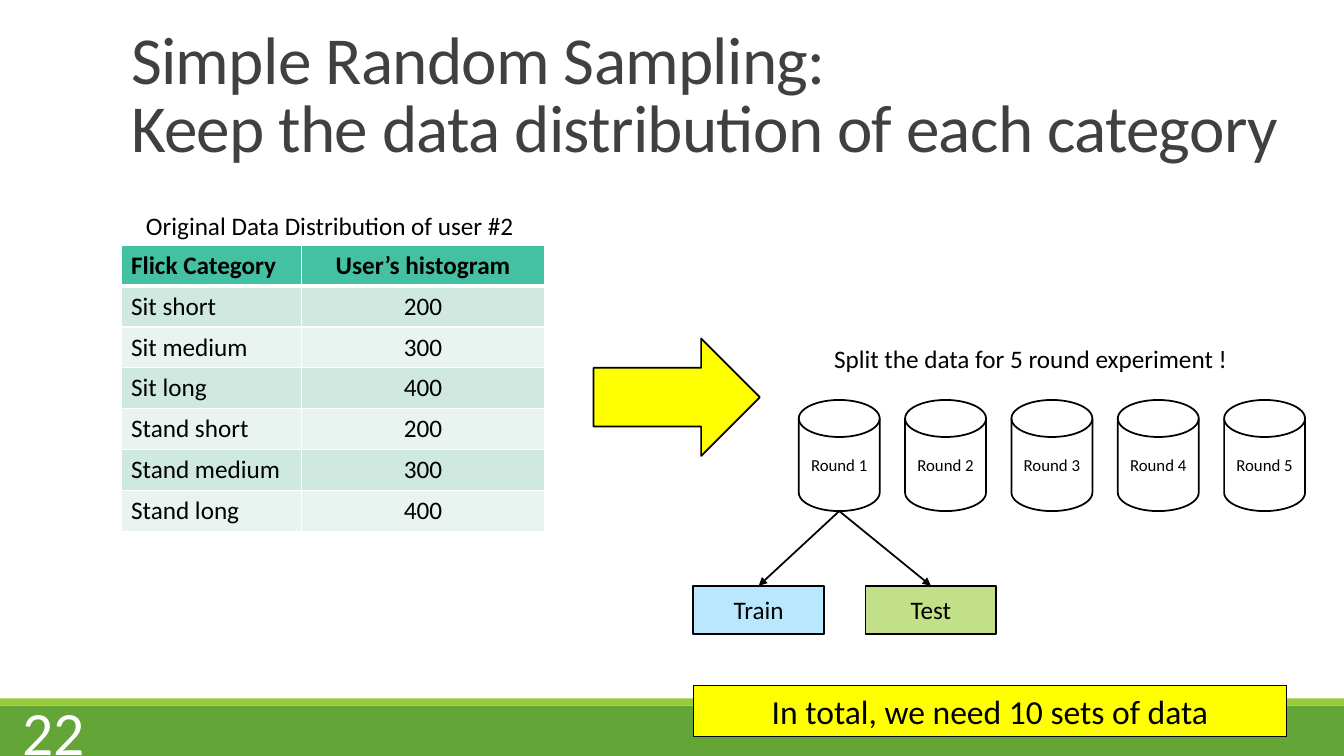
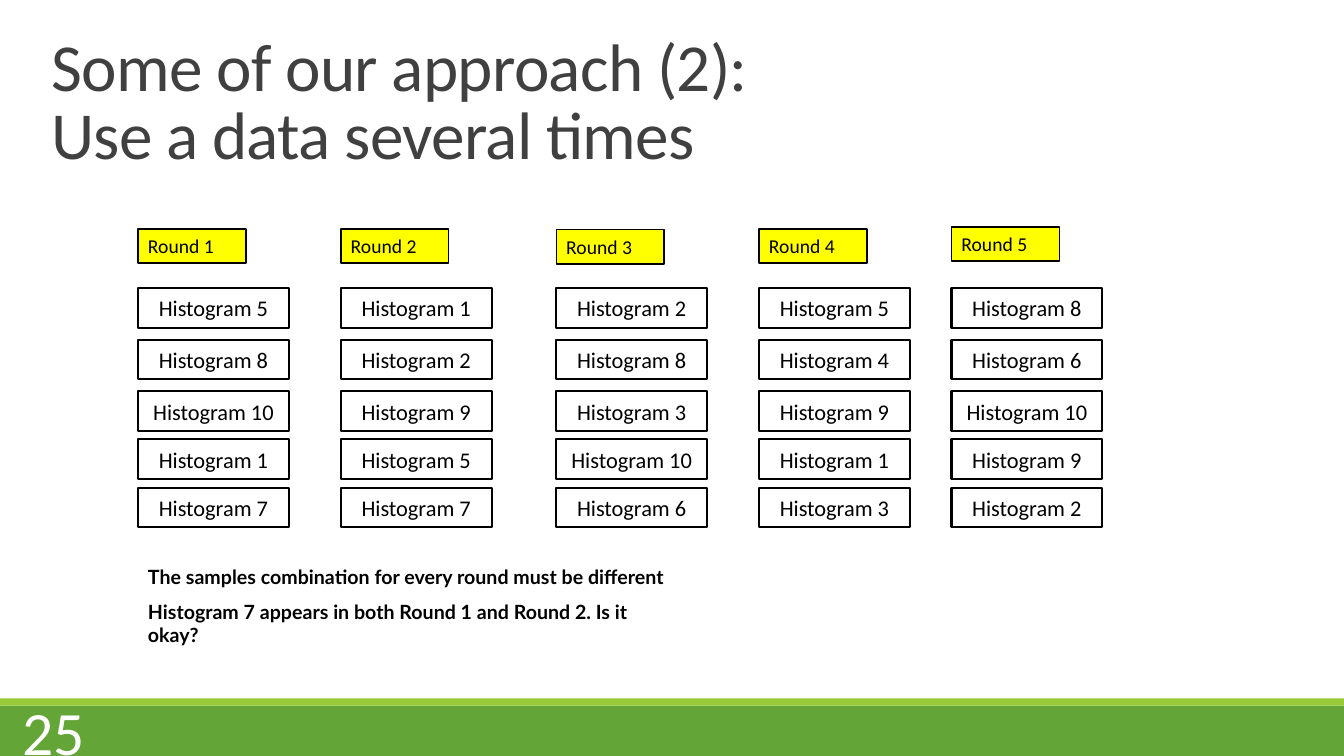
"""Build two slides about sampling data for a five round experiment."""
from typing import NamedTuple

from lxml.etree import SubElement
from pptx import Presentation
from pptx.dml.color import RGBColor
from pptx.enum.shapes import MSO_CONNECTOR, MSO_SHAPE
from pptx.enum.text import MSO_ANCHOR, MSO_AUTO_SIZE, PP_ALIGN
from pptx.oxml.ns import qn
from pptx.util import Cm, Pt

COLORS = {
    "ink": "000000", "title": "404040", "white": "FFFFFF",
    "band": "63A537", "stripe": "99CB38", "highlight": "FFFF00",
    "header": "44C1A3", "odd": "CFE9E0", "even": "E9F4F0",
    "train": "B9E7FD", "test": "C2E088",
}
FONT = "Calibri"
WIDTH, HEIGHT = 33.87, 19.05
TITLE_ONLY = 5

HISTOGRAM = [
    ("Flick Category", "User’s histogram"),
    ("Sit short", "200"), ("Sit medium", "300"), ("Sit long", "400"),
    ("Stand short", "200"), ("Stand medium", "300"), ("Stand long", "400"),
]
ROUNDS = [
    (0, 0.05, (5, 8, 10, 1, 7)),
    (5.11, 0.05, (1, 2, 9, 5, 7)),
    (10.54, 0.07, (2, 8, 3, 10, 6)),
    (15.65, 0.05, (5, 4, 9, 1, 3)),
    (20.5, 0, (8, 6, 10, 9, 2)),
]
SAMPLE_TOPS = (1.54, 2.84, 4.14, 5.35, 6.57)
QUESTIONS = [
    ("The samples combination for every round must be different", 0, 14.55),
    ("Histogram 7 appears in both Round 1 and Round 2. Is it okay?", 0.86, 13.26),
]


class Box(NamedTuple):
    """A rectangle in centimetres."""
    left: float
    top: float
    width: float
    height: float

    def inner(self, dx, dy, width, height):
        """Return a box offset from this one."""
        return Box(self.left + dx, self.top + dy, width, height)

    def lengths(self):
        """Return the four lengths for python-pptx."""
        return [Cm(value) for value in self]


def rgb(name):
    """Return a named colour."""
    return RGBColor.from_string(COLORS[name])


def apply(target, **values):
    """Set each format value on the target."""
    for attribute, value in values.items():
        setattr(target, attribute, value)


def write(frame, text, size, color="ink", align=PP_ALIGN.LEFT,
          anchor=MSO_ANCHOR.MIDDLE, font=FONT, bold=False, **frame_format):
    """Fill a text frame with one formatted paragraph."""
    apply(frame, vertical_anchor=anchor, **frame_format)
    paragraph = frame.paragraphs[0]
    paragraph.text = text
    paragraph.alignment = align
    for run in paragraph.runs:
        apply(run.font, name=font, size=Pt(size), bold=bold)
        run.font.color.rgb = rgb(color)
    return paragraph


def label(slide, box, text, size, **text_format):
    """Add a text box."""
    frame = slide.shapes.add_textbox(*box.lengths()).text_frame
    write(frame, text, size, word_wrap=True, **text_format)


def block(slide, box, kind=MSO_SHAPE.RECTANGLE, fill=None, line=None,
          text=None, size=18, align=PP_ALIGN.CENTER, **text_format):
    """Add a preset shape, with text if given."""
    shape = slide.shapes.add_shape(kind, *box.lengths())
    shape.shadow.inherit = False
    if fill:
        shape.fill.solid()
        shape.fill.fore_color.rgb = rgb(fill)
    else:
        shape.fill.background()
    if line:
        shape.line.color.rgb = rgb("ink")
        shape.line.width = Pt(line)
    else:
        shape.line.fill.background()
    if text:
        write(shape.text_frame, text, size, align=align, **text_format)
    return shape


def arrow(slide, source, target):
    """Join the bottom of one shape to the top of another."""
    start_x = source.left + source.width // 2
    start_y = source.top + source.height
    connector = slide.shapes.add_connector(
        MSO_CONNECTOR.STRAIGHT, start_x, start_y, start_x, start_y)
    connector.end_connect(target, 0)
    connector.line.color.rgb = rgb("ink")
    connector.line.width = Pt(1.25)
    properties = connector._element.spPr
    SubElement(properties.find(qn("a:ln")), qn("a:tailEnd"), type="triangle")
    SubElement(properties, qn("a:effectLst"))


def cell_borders(cell, widths):
    """Draw white borders on a cell, widths in points by side."""
    properties = cell._tc.get_or_add_tcPr()
    for side, width in widths.items():
        edge = SubElement(properties, qn(f"a:ln{side}"), w=str(int(Pt(width))))
        fill = SubElement(edge, qn("a:solidFill"))
        SubElement(fill, qn("a:srgbClr"), val=COLORS["white"])


def base_slide(deck, title, title_box, number):
    """Add a slide with its title, bands and number."""
    slide = deck.slides.add_slide(deck.slide_layouts[TITLE_ONLY])
    block(slide, Box(0, 17.78, WIDTH, 1.27), fill="band")
    block(slide, Box(0, 17.6, WIDTH, 0.18), fill="stripe")
    heading = slide.shapes.title
    apply(heading, **dict(zip(("left", "top", "width", "height"),
                              title_box.lengths())))
    paragraph = write(heading.text_frame, title, 48, color="title",
                      anchor=MSO_ANCHOR.BOTTOM, word_wrap=True,
                      auto_size=MSO_AUTO_SIZE.NONE)
    paragraph.line_spacing = 0.85
    for run in paragraph.runs:
        run.font._element.set("spc", "-50")
    label(slide, Box(0, 17.91, 2.39, 1.02), number, 44, color="white",
          align=PP_ALIGN.RIGHT)
    return slide


def distribution(slide, box):
    """Place the captioned table of flick categories."""
    label(slide, box.inner(0.38, 0, 10.2, 1.02),
          "Original Data Distribution of user #2", 18)
    table_box = box.inner(0, 1.02, box.width, box.height - 1.02)
    table = slide.shapes.add_table(
        len(HISTOGRAM), 2, *table_box.lengths()).table
    for column, width in zip(table.columns, (4.55, box.width - 4.55)):
        column.width = Cm(width)
    for r, values in enumerate(HISTOGRAM):
        fill = "header" if r == 0 else ("even", "odd")[r % 2]
        borders = {"L": 1, "R": 1, "T": 3 if r == 1 else 1,
                   "B": 3 if r == 0 else 1}
        for c, value in enumerate(values):
            cell = table.cell(r, c)
            cell_borders(cell, borders)
            cell.fill.solid()
            cell.fill.fore_color.rgb = rgb(fill)
            write(cell.text_frame, value, 18, bold=r == 0,
                  align=PP_ALIGN.CENTER if c else PP_ALIGN.LEFT,
                  anchor=MSO_ANCHOR.TOP)


def experiment(slide, box):
    """Place the five rounds and the split of the first one."""
    label(slide, box.inner(3.3, 0, 10.8, 1.02),
          "Split the data for 5 round experiment !", 18)
    disks = [
        block(slide, box.inner(2.66 + 2.68 * i, 1.55, 2.04, 2.8),
              MSO_SHAPE.FLOWCHART_MAGNETIC_DISK, "white", 1.25,
              f"Round {i + 1}", 12, margin_left=0, margin_right=0)
        for i in range(5)
    ]
    for i, name in enumerate(("Train", "Test")):
        subset = block(slide, box.inner(4.34 * i, 6.23, 3.3, 1.22),
                       fill=name.lower(), line=1.25, text=name)
        arrow(slide, disks[0], subset)


def sample_rounds(slide, box):
    """Place the columns of histograms drawn for each round."""
    for number, (dx, dy, samples) in enumerate(ROUNDS, 1):
        block(slide, box.inner(dx, dy, 2.72, 0.86), fill="highlight", line=1,
              text=f"Round {number}", size=14, align=PP_ALIGN.LEFT)
        for top, sample in zip(SAMPLE_TOPS, samples):
            block(slide, box.inner(dx, top, 3.8, 1), line=1.5,
                  text=f"Histogram {sample}", size=16)


def questions(slide, box):
    """Place the closing remarks."""
    for text, dy, width in QUESTIONS:
        label(slide, box.inner(0, dy, width, 0.86), text, 14, font="Lato",
              bold=True, anchor=MSO_ANCHOR.TOP)


def simple_sampling(deck):
    """Build the slide on simple random sampling."""
    slide = base_slide(
        deck,
        "Simple Random Sampling:\vKeep the data distribution of each category",
        Box(3.05, 0.28, 29.6, 4.04), "22")
    distribution(slide, Box(3.05, 5.16, 10.67, 8.23))
    block(slide, Box(14.96, 8.53, 4.19, 2.96), MSO_SHAPE.RIGHT_ARROW,
          "highlight", 1.25)
    experiment(slide, Box(17.47, 8.53, 15.4, 7.45))
    block(slide, Box(17.47, 17.27, 14.96, 1.28), fill="highlight", line=0.75,
          text="In total, we need 10 sets of data", size=24)


def repeated_use(deck):
    """Build the slide on using data several times."""
    slide = base_slide(
        deck, "Some of our approach (2):\vUse a data several times",
        Box(1.04, 0.46, 27.94, 4.04), "25")
    sample_rounds(slide, Box(3.48, 5.72, 24.3, 7.57))
    questions(slide, Box(3.48, 14.12, 14.55, 1.72))


def main():
    """Build and save the deck."""
    deck = Presentation()
    apply(deck, slide_width=Cm(WIDTH), slide_height=Cm(HEIGHT))
    simple_sampling(deck)
    repeated_use(deck)
    deck.save("out.pptx")


if __name__ == "__main__":
    main()
